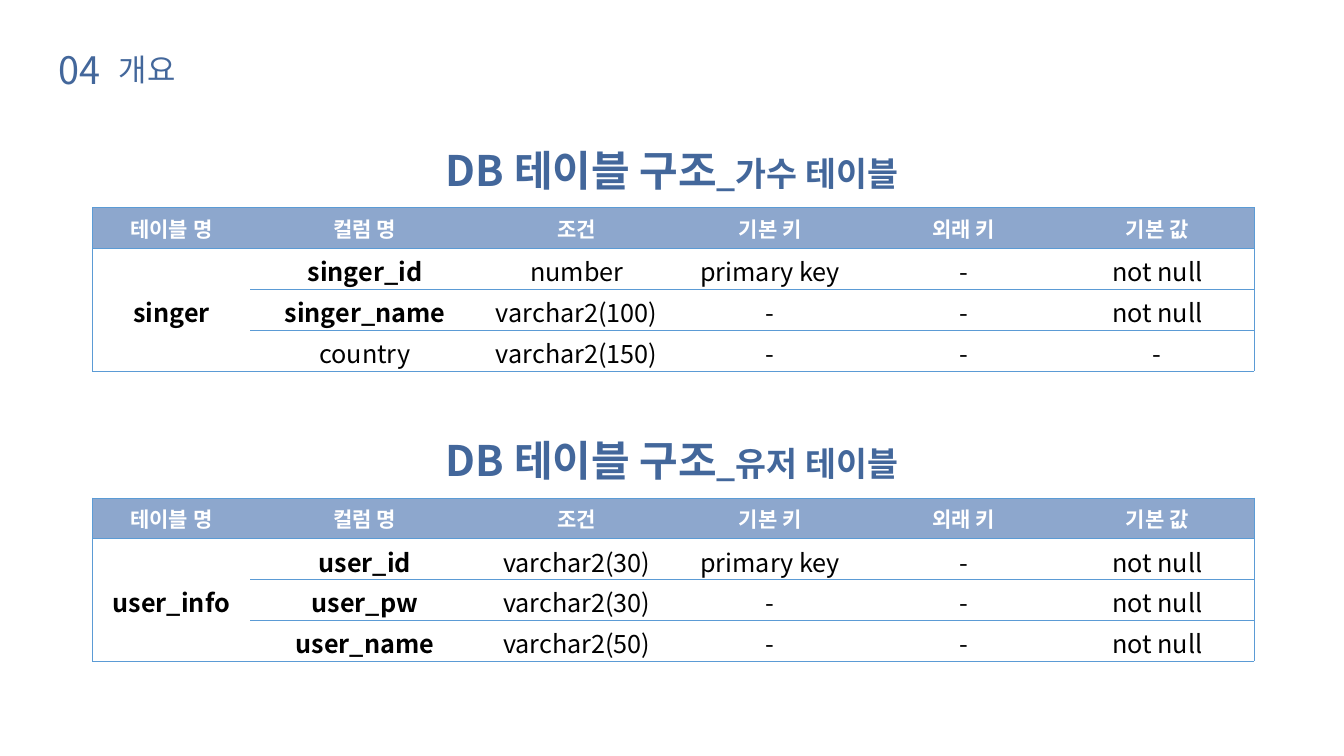
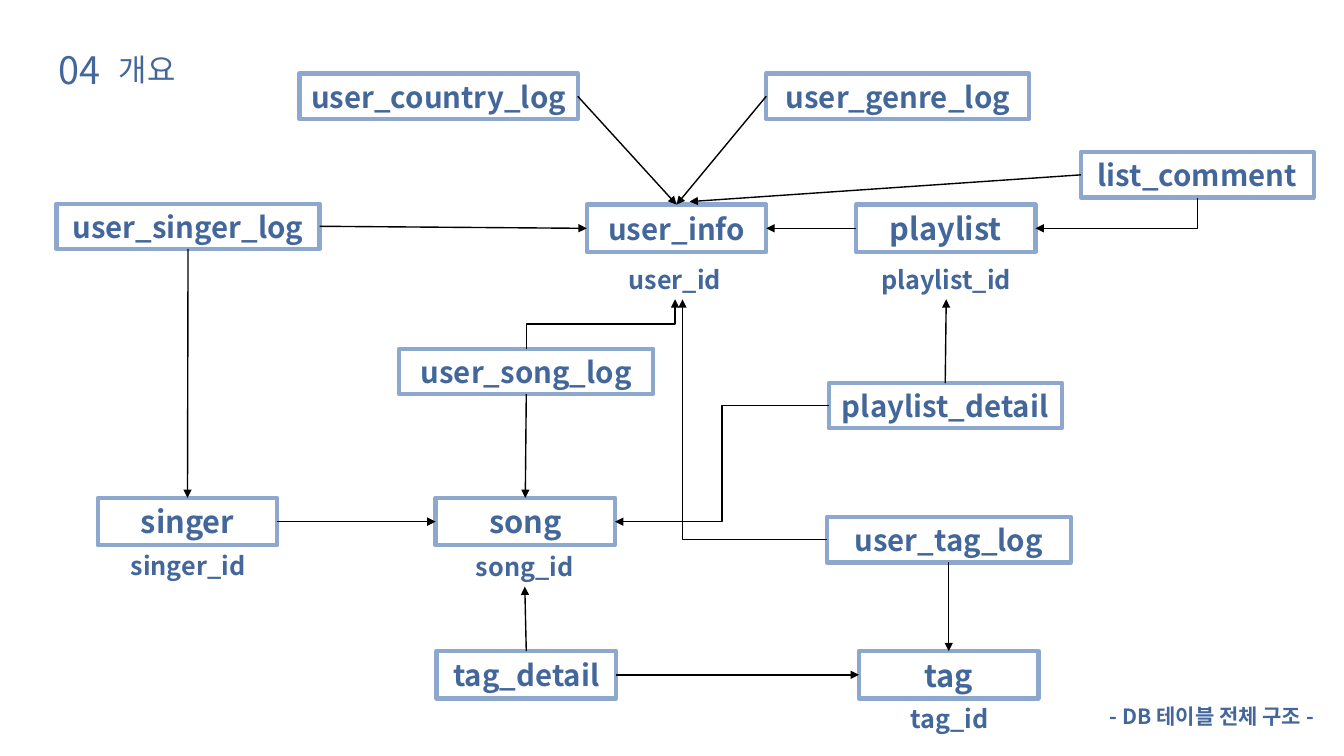
from lxml.etree import SubElement
from pptx import Presentation
from pptx.dml.color import RGBColor
from pptx.enum.dml import MSO_LINE
from pptx.enum.shapes import MSO_CONNECTOR, MSO_SHAPE
from pptx.enum.text import MSO_ANCHOR, MSO_AUTO_SIZE, PP_ALIGN
from pptx.oxml.ns import qn
from pptx.util import Inches, Pt

FONT = "Noto Sans CJK KR"
NAVY = RGBColor(0x43, 0x67, 0x9B)
BAND = RGBColor(0x8D, 0xA7, 0xCD)
RULE = RGBColor(0x5B, 0x9B, 0xD5)
BLACK = RGBColor(0, 0, 0)
WHITE = RGBColor(0xFF, 0xFF, 0xFF)

TOP, LEFT, BOTTOM, RIGHT = range(4)
STRAIGHT, ELBOW = MSO_CONNECTOR.STRAIGHT, MSO_CONNECTOR.ELBOW

COLUMN_WIDTHS = [1.56, 2.28] + [1.92] * 4
ROW_HEIGHT = 0.405
HEADERS = ["테이블 명", "컬럼 명", "조건", "기본 키", "외래 키", "기본 값"]
TABLES = [
    (1.38, "가수", "singer", [
        ("singer_id", "number", "primary key", "-", "not null"),
        ("singer_name", "varchar2(100)", "-", "-", "not null"),
        ("country", "varchar2(150)", "-", "-", "-"),
    ]),
    (4.26, "유저", "user_info", [
        ("user_id", "varchar2(30)", "primary key", "-", "not null"),
        ("user_pw", "varchar2(30)", "-", "-", "not null"),
        ("user_name", "varchar2(50)", "-", "-", "not null"),
    ]),
]

ENTITIES = [
    ("user_info", 5.82, 2.03, 21),
    ("playlist", 8.49, 2.03, 22),
    ("singer", 0.97, 4.94, 22),
    ("song", 4.32, 4.94, 22),
    ("tag_detail", 4.33, 6.46, 21),
    ("tag", 8.52, 6.46, 22),
]
LOGS = [
    ("user_genre_log", 7.6, 0.73, 2.61),
    ("user_country_log", 2.97, 0.73, 2.76),
    ("list_comment", 10.72, 1.51, 2.31),
    ("playlist_detail", 8.22, 3.8, 2.31),
    ("user_singer_log", 0.56, 2.02, 2.61),
    ("user_song_log", 3.96, 3.46, 2.52),
    ("user_tag_log", 8.2, 5.13, 2.42),
]
KEYS = [
    ("user_id", 5.85, 2.57),
    ("playlist_id", 8.54, 2.57),
    ("singer_id", 1.02, 5.41),
    ("song_id", 4.36, 5.42),
    ("tag_id", 8.57, 6.93),
]
LINKS = [
    ("user_country_log", RIGHT, "user_info", TOP, STRAIGHT),
    ("user_genre_log", LEFT, "user_info", TOP, STRAIGHT),
    ("list_comment", BOTTOM, "playlist", RIGHT, ELBOW),
    ("playlist_detail", TOP, "playlist_id", BOTTOM, STRAIGHT),
    ("playlist", LEFT, "user_info", RIGHT, STRAIGHT),
    ("user_singer_log", RIGHT, "user_info", LEFT, STRAIGHT),
    ("user_singer_log", BOTTOM, "singer", TOP, STRAIGHT),
    ("singer", RIGHT, "song", LEFT, STRAIGHT),
    ("user_song_log", BOTTOM, "song", TOP, STRAIGHT),
    ("user_song_log", TOP, "user_id", BOTTOM, ELBOW),
    ("tag_detail", TOP, "song_id", BOTTOM, STRAIGHT),
    ("tag_detail", RIGHT, "tag", LEFT, STRAIGHT),
    ("user_tag_log", BOTTOM, "tag", TOP, STRAIGHT),
    ("playlist_detail", LEFT, "song", RIGHT, ELBOW),
    ("user_tag_log", LEFT, (6.77, 2.97), None, ELBOW),
    ("list_comment", LEFT, (6.84, 2.0), None, STRAIGHT),
]


def add_run(p, text, size, color=NAVY, bold=False):
    """Append a run set in the deck font for Latin and Korean text."""
    r = p.add_run()
    r.text = text
    r.font.color.rgb = color
    for name, value in {"name": FONT, "size": Pt(size), "bold": bold}.items():
        setattr(r.font, name, value)
    SubElement(r.font._element, qn("a:ea")).set("typeface", FONT)


def fill_frame(sp, runs, bold=True, align=PP_ALIGN.CENTER, wrap=True):
    """Write one line of (text, size) runs, centred vertically in a shape."""
    tf = sp.text_frame
    frame = {"word_wrap": wrap, "auto_size": MSO_AUTO_SIZE.NONE,
             "vertical_anchor": MSO_ANCHOR.MIDDLE,
             "margin_top": 0, "margin_bottom": 0}
    for name, value in frame.items():
        setattr(tf, name, value)
    p = tf.paragraphs[0]
    p.alignment = align
    for text, size in runs:
        add_run(p, text, size, bold=bold)


def add_label(s, box, runs, **style):
    """Add a text box at box, given in inches."""
    sp = s.shapes.add_textbox(*map(Inches, box))
    fill_frame(sp, runs, **style)
    return sp


def add_box(s, box, text, size):
    """Add an outlined box with a table name."""
    sp = s.shapes.add_shape(MSO_SHAPE.RECTANGLE, *map(Inches, box))
    sp.shadow.inherit = False
    sp.fill.background()
    sp.line.color.rgb = BAND
    sp.line.width = Pt(3)
    fill_frame(sp, [(text, size)])
    return sp


def add_section_slide(prs):
    """Add a slide with the section number and title."""
    s = prs.slides.add_slide(prs.slide_layouts[5])
    style = {"bold": False, "align": PP_ALIGN.LEFT, "wrap": False}
    title = s.shapes.title
    place = {"left": 1.08, "top": 0.45, "width": 0.78, "height": 0.47}
    for name, value in place.items():
        setattr(title, name, Inches(value))
    fill_frame(title, [("개요", 22)], **style)
    add_label(s, (0.48, 0.41, 0.69, 0.56), [("04", 27)], **style)
    return s


def set_borders(cell, shown):
    """Draw thin rules on the shown sides and clear the other sides."""
    tc_pr = cell._tc.get_or_add_tcPr()
    for side in "LRTB":
        ln = SubElement(tc_pr, qn(f"a:ln{side}"), w=str(Pt(0.5)))
        if side in shown:
            fill = SubElement(ln, qn("a:solidFill"))
            SubElement(fill, qn("a:srgbClr"), val=str(RULE))
        else:
            SubElement(ln, qn("a:noFill"))


def style_cell(cell, text, header, bold, sides):
    """Format one table cell and write its text."""
    set_borders(cell, sides)
    if header:
        cell.fill.solid()
        cell.fill.fore_color.rgb = BAND
    else:
        cell.fill.background()
    cell.vertical_anchor = MSO_ANCHOR.MIDDLE
    cell.margin_top = Inches(0.04)
    cell.margin_bottom = Inches(0.04 if header else 0)
    if text:
        p = cell.text_frame.paragraphs[0]
        p.alignment = PP_ALIGN.CENTER
        add_run(p, text, 15 if header else 18, WHITE if header else BLACK, bold)


def add_schema(s, top, subject, name, fields):
    """Add a heading and the table of columns below it."""
    add_label(s, (3.34, top, 6.65, 0.61),
              [("DB 테이블 구조", 30), (f"_{subject} 테이블", 24)])
    rows = [HEADERS] + [(name if i == 0 else "", *f) for i, f in enumerate(fields)]
    last = len(HEADERS) - 1
    tbl = s.shapes.add_table(
        len(rows), len(HEADERS), Inches(0.92), Inches(top + 0.68),
        Inches(sum(COLUMN_WIDTHS)), Inches(ROW_HEIGHT * len(rows))).table
    tbl.first_row = tbl.horz_banding = False
    for column, width in zip(tbl.columns, COLUMN_WIDTHS):
        column.width = Inches(width)
    tbl.cell(1, 0).merge(tbl.cell(len(fields), 0))
    for i, row in enumerate(rows):
        tbl.rows[i].height = Inches(ROW_HEIGHT)
        for j, text in enumerate(row):
            required = j == 1 and row[last] == "not null"
            sides = "TB" + ("L" if j == 0 else "") + ("R" if j == last else "")
            style_cell(tbl.cell(i, j), text, i == 0,
                       i == 0 or j == 0 or required, sides)


def turn_elbow(c):
    """Rotate an elbow by 90 degrees so that it leaves its box vertically."""
    dx, dy = c.end_x - c.begin_x, c.end_y - c.begin_y
    mid_x, mid_y = c.begin_x + dx // 2, c.begin_y + dy // 2
    ends = {"begin_x": mid_x - dy // 2, "begin_y": mid_y + dx // 2,
            "end_x": mid_x + dy // 2, "end_y": mid_y - dx // 2}
    for name, value in ends.items():
        setattr(c, name, value)
    c._element.spPr.find(qn("a:xfrm")).set("rot", str(90 * 60000))


def add_link(s, nodes, start, start_site, end, end_site, kind):
    """Add an arrow from a box to another box or to a point."""
    free = end_site is None
    x, y = map(Inches, end if free else (0, 0))
    c = s.shapes.add_connector(kind, 0, 0, x, y)
    c.begin_connect(nodes[start], start_site)
    if not free:
        c.end_connect(nodes[end], end_site)
    sp_pr = c._element.spPr
    if kind == ELBOW:
        vertical = start_site in (TOP, BOTTOM)
        if free or vertical and end_site in (LEFT, RIGHT):
            sp_pr.find(qn("a:prstGeom")).set("prst", "bentConnector2")
        if vertical:
            turn_elbow(c)
    c.line.color.rgb = BLACK
    c.line.width = Pt(1)
    c.line.dash_style = MSO_LINE.SOLID
    SubElement(sp_pr.find(qn("a:ln")), qn("a:tailEnd"), type="triangle")
    SubElement(sp_pr, qn("a:effectLst"))


def add_diagram(s):
    """Add the boxes, their key labels and the arrows between them."""
    nodes = {}
    for name, left, top, size in ENTITIES:
        nodes[name] = add_box(s, (left, top, 1.78, 0.47), name, size)
    for name, left, top, width in LOGS:
        nodes[name] = add_box(s, (left, top, width, 0.45), name, 21)
    for name, left, top in KEYS:
        nodes[name] = add_label(s, (left, top, 1.69, 0.4), [(name, 18)])
    for link in LINKS:
        add_link(s, nodes, *link)


def main():
    """Build and save the two slides."""
    prs = Presentation()
    prs.slide_width, prs.slide_height = Inches(13.33), Inches(7.5)
    s = add_section_slide(prs)
    for schema in TABLES:
        add_schema(s, *schema)
    s = add_section_slide(prs)
    add_diagram(s)
    add_label(s, (10.49, 6.93, 3.06, 0.35), [("- DB 테이블 전체 구조 -", 15)])
    prs.save("out.pptx")


if __name__ == "__main__":
    main()
